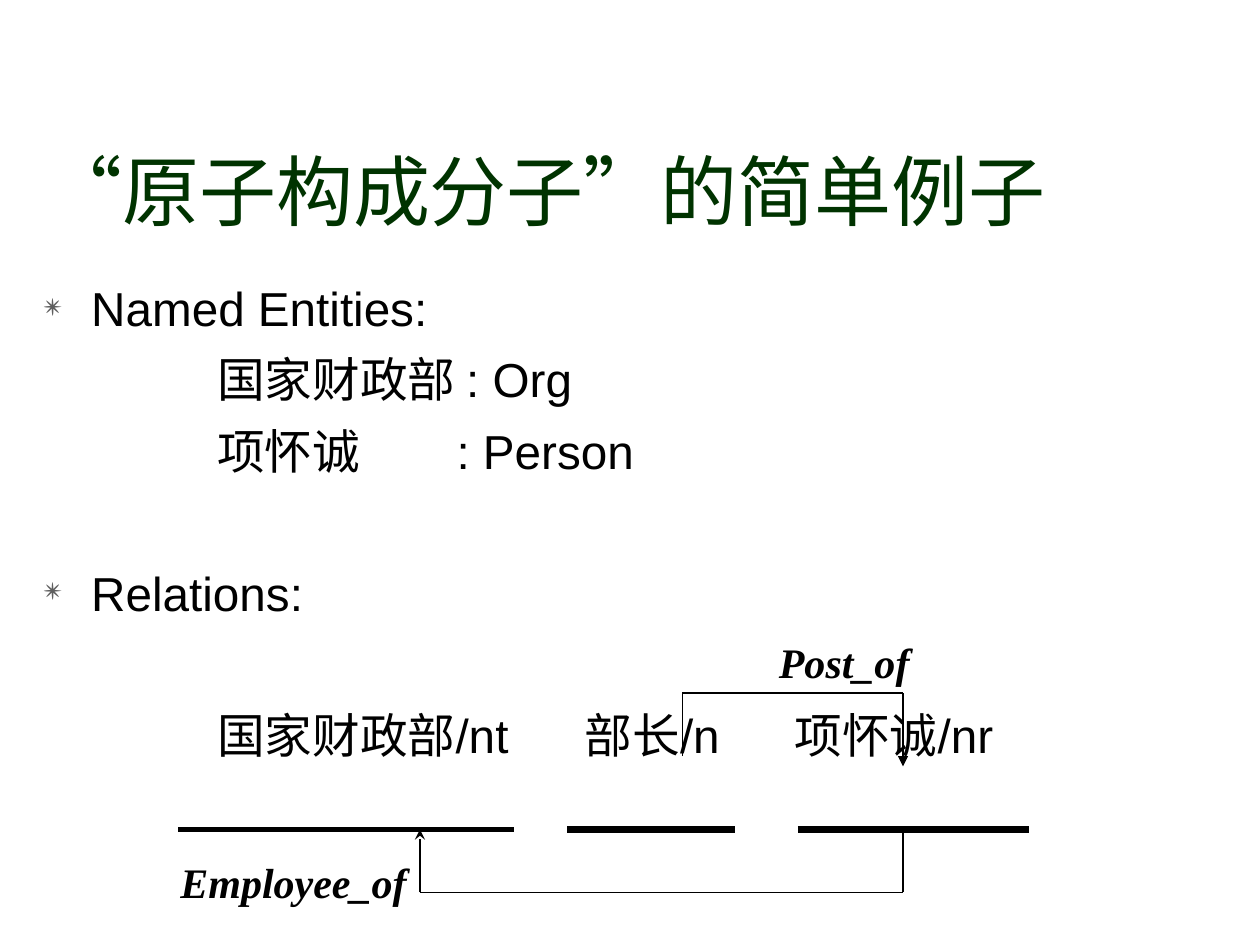
from lxml import etree
from pptx import Presentation, util as u
from pptx.dml.color import RGBColor
from pptx.enum import shapes, text
from pptx.oxml.ns import qn

PX = 7620  # EMU per px, 120 px to the inch
COLORS = {"title": "003300", "ink": "000000", "bullet": "5F5F5F"}


def px(length):
    return u.Emu(length * PX)


def add_xml(parent, tag, **attributes):
    return etree.SubElement(parent, qn(tag), attributes)


def style_font(font, name, size, color, emphasis=False):
    font.name, font.size = name, u.Pt(size)
    font.bold = font.italic = emphasis
    font.color.rgb = RGBColor.from_string(COLORS[color])


def add_title(slide, wording, box):
    title = slide.shapes.title
    title.left, title.top, title.width, title.height = map(px, box)
    frame = title.text_frame
    frame.text = wording
    frame.auto_size = text.MSO_AUTO_SIZE.NONE
    frame.vertical_anchor = text.MSO_ANCHOR.BOTTOM
    paragraph = frame.paragraphs[0]
    paragraph.alignment = text.PP_ALIGN.CENTER
    style_font(paragraph.font, "Montserrat", 44, "title")


def add_text_frame(slide, box):
    frame = slide.shapes.add_textbox(*map(px, box)).text_frame
    frame.word_wrap = True
    return frame


def set_bullet(paragraph):
    properties = paragraph._p.get_or_add_pPr()
    properties.set("marL", str(px(45)))
    properties.set("indent", str(-px(45)))
    color = add_xml(properties, "a:buClr")
    add_xml(color, "a:srgbClr", val=COLORS["bullet"])
    add_xml(properties, "a:buSzPct", val="65000")
    add_xml(properties, "a:buChar", char="✴")


def set_tabs(paragraph, stops):
    tabs = add_xml(paragraph._p.get_or_add_pPr(), "a:tabLst")
    for stop in stops:
        add_xml(tabs, "a:tab", pos=str(px(stop)), algn="l")


def add_body(slide, lines, box):
    """Each line is (wording, space before in points, tab stops); no stops means a bullet."""
    frame = add_text_frame(slide, box)
    for index, (wording, space, stops) in enumerate(lines):
        paragraph = frame.add_paragraph() if index else frame.paragraphs[0]
        paragraph.text = wording
        paragraph.space_before = u.Pt(space)
        if stops:
            set_tabs(paragraph, stops)
        else:
            set_bullet(paragraph)
        style_font(paragraph.font, "Arial", 27.2, "ink")


def add_relation_label(slide, wording, box):
    paragraph = add_text_frame(slide, box).paragraphs[0]
    paragraph.text = wording
    paragraph.space_before = u.Pt(15)
    style_font(paragraph.font, "Times New Roman", 24, "ink", emphasis=True)


def add_line(slide, start, end, width=0.75, arrowhead=None):
    line = slide.shapes.add_connector(
        shapes.MSO_CONNECTOR.STRAIGHT, *map(px, (*start, *end)))
    line.line.width = u.Pt(width)
    line.line.color.rgb = RGBColor.from_string(COLORS["ink"])
    if arrowhead:
        add_xml(line.line._get_or_add_ln(), "a:tailEnd", type=arrowhead)
    add_xml(line._element.spPr, "a:effectLst")


def add_path(slide, points, arrowhead):
    """Straight segments through the points, with an arrowhead on the last."""
    segments = list(zip(points, points[1:]))
    for segment in segments[:-1]:
        add_line(slide, *segment)
    add_line(slide, *segments[-1], arrowhead=arrowhead)


def main():
    presentation = Presentation()
    presentation.slide_width, presentation.slide_height = px(1200), px(900)
    slide = presentation.slides.add_slide(presentation.slide_layouts[5])

    add_title(slide, "“原子构成分子”的简单例子", (30, 130, 980, 101))

    # Entities and the tagged sentence; wide space stands for a skipped line
    indent, near, far = 165, 8, 48.6
    add_body(slide, [
        ("Named Entities:", near, ()),
        ("\t国家财政部 : Org", near, (indent,)),
        ("\t项怀诚\t: Person", near, (indent, 393)),
        ("Relations:", far, ()),
        ("\t国家财政部/nt\t部长/n\t项怀诚/nr", far, (indent, 515, 715)),
    ], (30, 260, 990, 540))

    # Underlines of the three words
    baseline = 790
    for left, right, width in ((170, 490, 3), (540, 700, 4.5), (760, 980, 4.5)):
        add_line(slide, (left, baseline), (right, baseline), width)

    # Relation arrows between words
    organisation, post, person = 400, 650, 860
    add_path(slide, [(person, baseline), (person, 850),
                     (organisation, 850), (organisation, baseline)], "stealth")
    add_path(slide, [(post, 720), (post, 660), (person, 660), (person, 730)],
             "triangle")

    add_relation_label(slide, "Post_of", (730, 600, 180, 60))
    add_relation_label(slide, "Employee_of", (160, 810, 260, 60))

    presentation.save("out.pptx")


if __name__ == "__main__":
    main()
